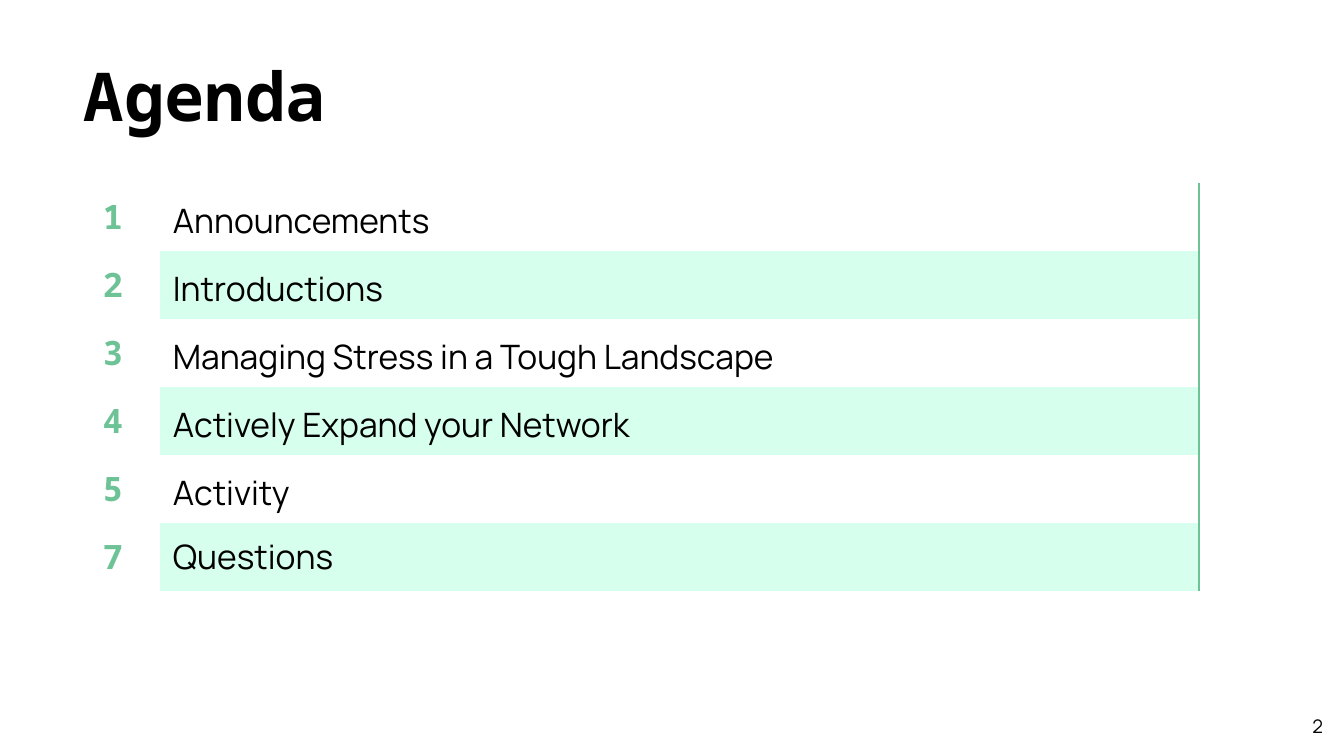
import pptx
import pptx.dml.color
import pptx.enum.text
import pptx.oxml
import pptx.oxml.ns
import pptx.util
from dataclasses import dataclass

# Content
TITLE = "Agenda"
PAGE_NUMBER = "2"
AGENDA = [
    ("1", "Announcements"),
    ("2", "Introductions"),
    ("3", "Managing Stress in a Tough Landscape"),
    ("4", "Actively Expand your Network"),
    ("5", "Activity"),
    ("7", "Questions"),
]


# Look
@dataclass(frozen=True)
class Theme:
    ink: str = "000000"
    accent: str = "6EC396"
    band: str = "D7FFEE"
    heading_font: str = "Noto Sans Mono"
    body_font: str = "Manrope"
    title_size: int = 36
    item_size: int = 18
    page_size: int = 10
    rule_width: float = 1.5


THEME = Theme()
NO_GRID_STYLE = "{2D5ABB26-0587-4C30-8999-92F81FD0307C}"
ALIGN = pptx.enum.text.PP_ALIGN
MIDDLE = pptx.enum.text.MSO_ANCHOR.MIDDLE

# Layout in px
PX_PER_INCH = 134.4
SLIDE = (1344, 756)
TITLE_BOX = (81, 51, 1211, 97)
PAGE_BOX = (1255, 704, 81, 44)
TABLE_LEFT, TABLE_TOP, ROW_HEIGHT = 66, 183, 68
COLUMNS = (94, 1039)
TITLE_INSET, INSET = 3, 13


def px(length):
    return pptx.util.Emu(round(length * 914400 / PX_PER_INCH))


def write(para, text, font, size, color, bold=False, align=ALIGN.LEFT):
    para.add_run().text = text
    para.alignment = align
    para.font.name = font
    para.font.size = pptx.util.Pt(size)
    para.font.bold = bold
    para.font.color.rgb = pptx.dml.color.RGBColor.from_string(color)


def add_text(page, box, inset, anchor, *style, **options):
    frame = page.shapes.add_textbox(*map(px, box)).text_frame
    frame.word_wrap = True
    frame.vertical_anchor = anchor
    frame.margin_left = frame.margin_right = px(inset)
    frame.margin_top = frame.margin_bottom = px(inset)
    write(frame.paragraphs[0], *style, **options)


def add_right_rule(cell):
    line = pptx.oxml.parse_xml(
        f'<a:lnR {pptx.oxml.ns.nsdecls("a")} w="{pptx.util.Pt(THEME.rule_width)}">'
        f'<a:solidFill><a:srgbClr val="{THEME.accent}"/></a:solidFill></a:lnR>'
    )
    cell._tc.get_or_add_tcPr().insert(0, line)


def add_agenda(page):
    bounds = (TABLE_LEFT, TABLE_TOP, sum(COLUMNS), ROW_HEIGHT * len(AGENDA))
    table = page.shapes.add_table(len(AGENDA), len(COLUMNS), *map(px, bounds)).table
    table.first_row = table.horz_banding = False
    table._tbl.tblPr.find(pptx.oxml.ns.qn("a:tableStyleId")).text = NO_GRID_STYLE
    for column, width in zip(table.columns, COLUMNS):
        column.width = px(width)

    for index, (number, topic) in enumerate(AGENDA):
        table.rows[index].height = px(ROW_HEIGHT)
        number_cell, topic_cell = table.rows[index].cells
        for cell in (number_cell, topic_cell):
            cell.vertical_anchor = MIDDLE
            cell.margin_left = cell.margin_right = px(INSET)
            cell.margin_top = cell.margin_bottom = 0
            cell.fill.background()

        write(number_cell.text_frame.paragraphs[0], number, THEME.heading_font,
              THEME.item_size, THEME.accent, bold=True, align=ALIGN.CENTER)
        para = topic_cell.text_frame.paragraphs[0]
        write(para, topic, THEME.body_font, THEME.item_size, THEME.ink)
        # The closing row is set tight
        if index < len(AGENDA) - 1:
            para.line_spacing = 1.15
            para.space_after = pptx.util.Pt(12)
        # Every second row is banded
        if index % 2:
            topic_cell.fill.solid()
            topic_cell.fill.fore_color.rgb = pptx.dml.color.RGBColor.from_string(THEME.band)
        add_right_rule(topic_cell)


def main():
    deck = pptx.Presentation()
    deck.slide_width, deck.slide_height = map(px, SLIDE)
    page = deck.slides.add_slide(deck.slide_layouts[6])
    add_text(page, TITLE_BOX, TITLE_INSET, pptx.enum.text.MSO_ANCHOR.TOP, TITLE,
             THEME.heading_font, THEME.title_size, THEME.ink, bold=True)
    add_agenda(page)
    add_text(page, PAGE_BOX, INSET, MIDDLE, PAGE_NUMBER,
             THEME.body_font, THEME.page_size, THEME.ink, align=ALIGN.RIGHT)
    deck.save("out.pptx")


if __name__ == "__main__":
    main()
